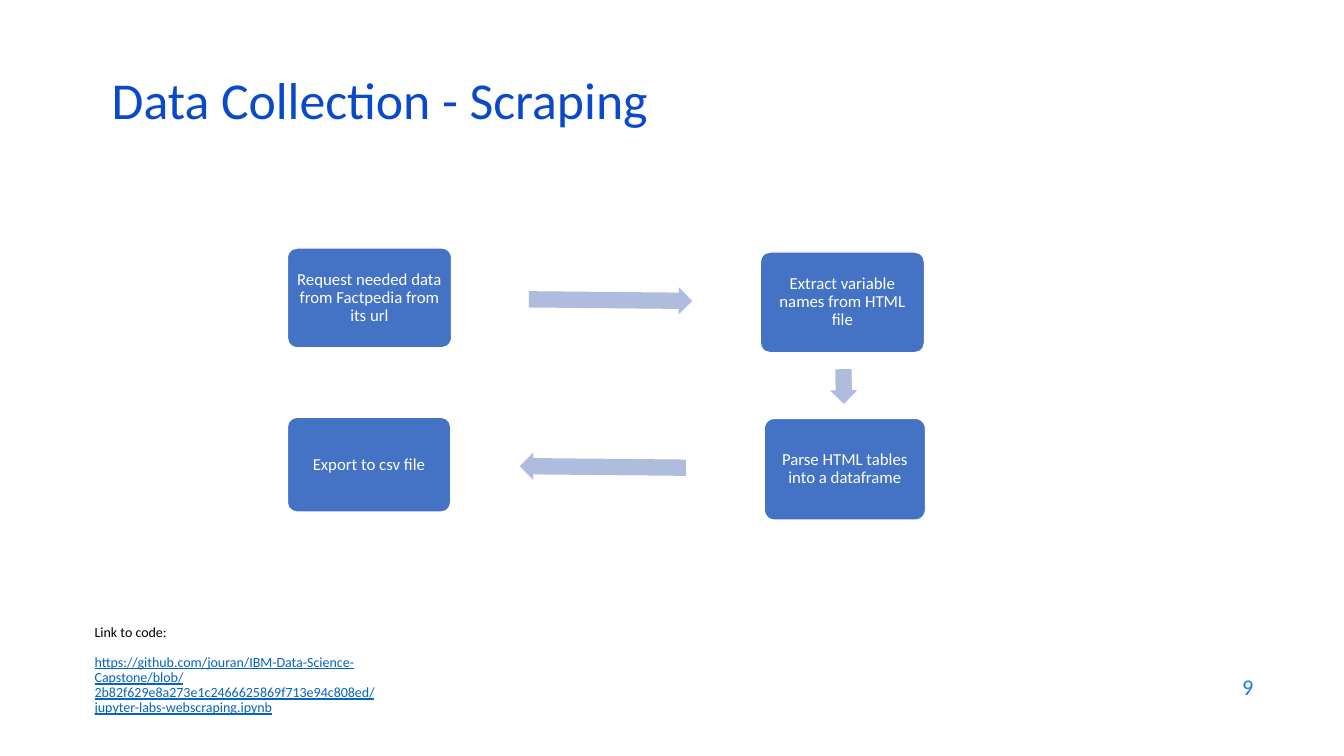
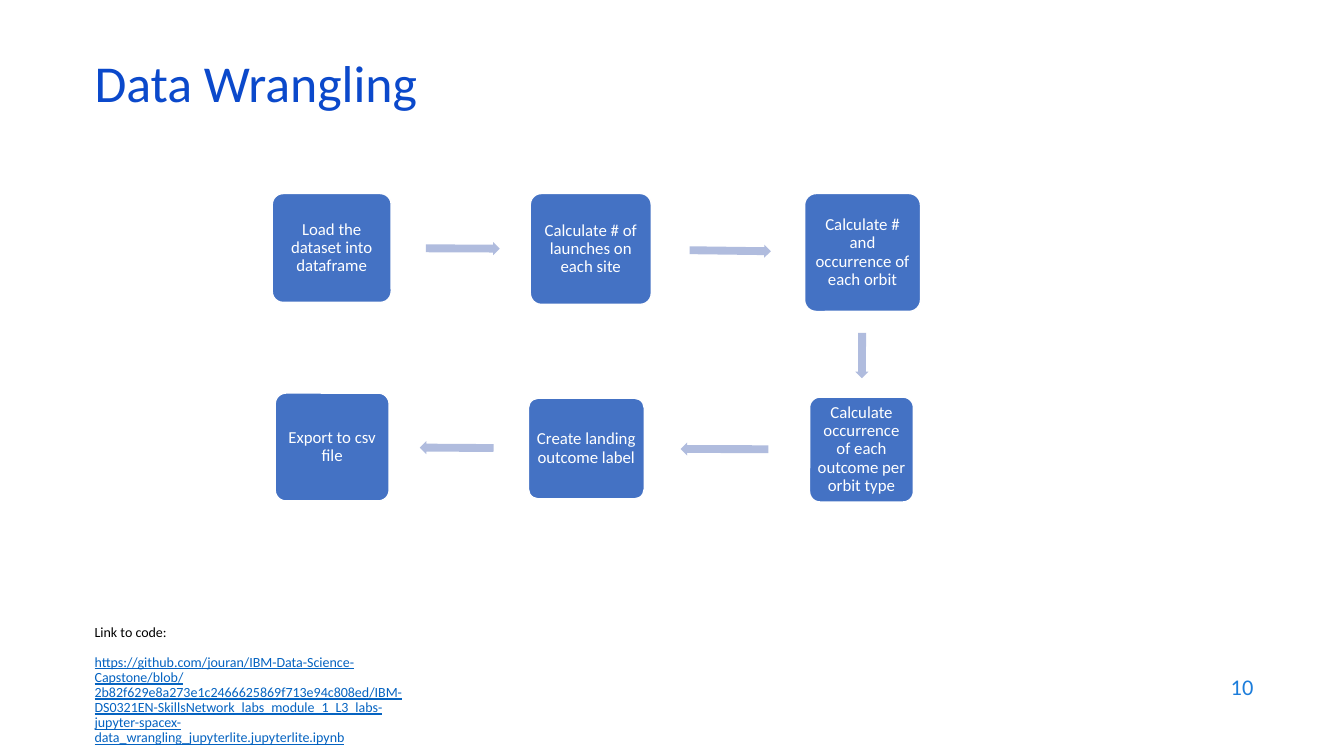
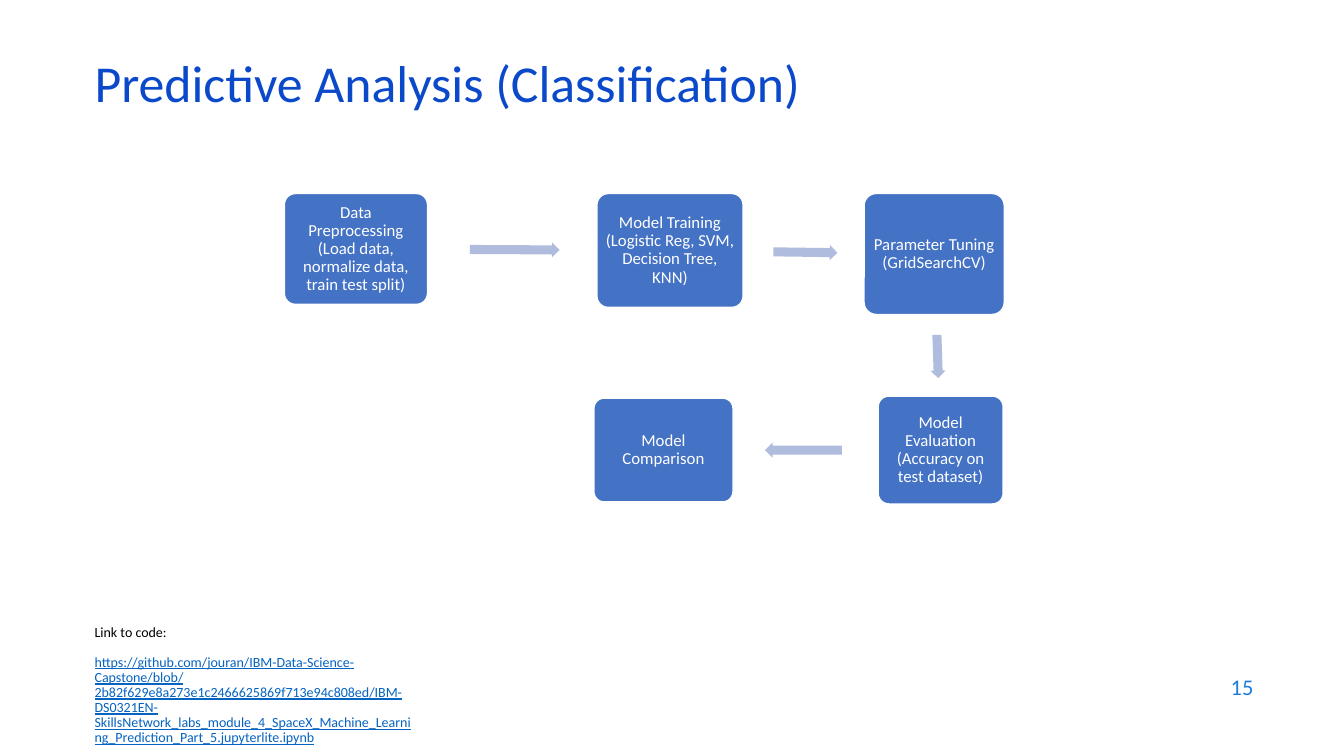
from itertools import pairwise
from math import atan2, degrees

from pptx import Presentation
from pptx.dml.color import RGBColor
from pptx.enum.shapes import MSO_SHAPE as Preset
from pptx.enum.text import MSO_ANCHOR as Anchor, PP_ALIGN as Align
from pptx.util import Inches, Pt

FONT = "Calibri"
TITLE, NUMBER, STEP, ARROW = "0B49CB", "1C7DDB", "4472C4", "B0BCDE"
WHITE, BLACK, LINK = "FFFFFF", "000000", "0563C1"

# Each arrow starts a quarter of the way into the gap and fills about half of it
ARROW_START, ARROW_LENGTH = 0.25, 0.53

REPO = ("https://github.com/jouran/IBM-Data-Science-Capstone/blob/"
        "2b82f629e8a273e1c2466625869f713e94c808ed/")


def rgb(value):
    return RGBColor.from_string(value)


def apply(target, **values):
    for attribute, value in values.items():
        setattr(target, attribute, value)


class Deck:
    def __init__(self):
        self.prs = Presentation()
        apply(self.prs, slide_width=Inches(13.33), slide_height=Inches(7.5))
        self.slide = None

    def new_slide(self):
        self.slide = self.prs.slides.add_slide(self.prs.slide_layouts[6])

    def add_text(self, paragraph, text, size, color, underline=None, **layout):
        apply(paragraph, **layout)
        run = paragraph.add_run()
        run.text = text
        apply(run.font, name=FONT, size=Pt(size), underline=underline)
        run.font.color.rgb = rgb(color)

    def text_frame(self, box, anchor=Anchor.MIDDLE):
        frame = self.slide.shapes.add_textbox(*map(Inches, box)).text_frame
        apply(frame, word_wrap=True, vertical_anchor=anchor)
        return frame

    def title(self, text, left, top):
        frame = self.text_frame((left, top, 11.5, 0.6))
        self.add_text(frame.paragraphs[0], text, 37, TITLE, line_spacing=0.7)

    def page_number(self, number):
        frame = self.text_frame((9.53, 6.59, 3, 0.44))
        self.add_text(frame.paragraphs[0], str(number), 16, NUMBER, alignment=Align.RIGHT)

    def code_link(self, notebook):
        frame = self.text_frame((0.84, 6.16, 3.36, 0.8), Anchor.TOP)
        self.add_text(frame.paragraphs[0], "Link to code:", 10, BLACK, line_spacing=0.9)
        self.add_text(frame.add_paragraph(), REPO + notebook, 10, LINK, underline=True,
                      line_spacing=0.9, space_before=Pt(10))

    def preset(self, kind, box, fill, adjustments):
        shape = self.slide.shapes.add_shape(kind, *map(Inches, box))
        shape.shadow.inherit = False
        shape.fill.solid()
        shape.fill.fore_color.rgb = rgb(fill)
        for index, value in enumerate(adjustments):
            shape.adjustments[index] = value
        return shape

    def step(self, text, box):
        shape = self.preset(Preset.ROUNDED_RECTANGLE, box, STEP, [0.1])
        shape.line.color.rgb = rgb(WHITE)
        shape.line.width = Pt(1)
        frame = shape.text_frame
        margins = dict.fromkeys(
            ("margin_left", "margin_top", "margin_right", "margin_bottom"), Inches(0.05))
        apply(frame, word_wrap=True, vertical_anchor=Anchor.MIDDLE, **margins)
        self.add_text(frame.paragraphs[0], text, 12, WHITE,
                      alignment=Align.CENTER, line_spacing=0.9)

    def arrow(self, source, target, breadth):
        """Point from the centre of one step to the centre of the next."""
        x, y = (source[i] + source[i + 2] / 2 for i in (0, 1))
        dx = target[0] + target[2] / 2 - x
        dy = target[1] + target[3] / 2 - y
        axis = 0 if abs(dx) > abs(dy) else 1
        distance = abs((dx, dy)[axis])
        half = source[axis + 2] / 2
        gap = distance - half - target[axis + 2] / 2
        length = ARROW_LENGTH * gap
        share = (half + ARROW_START * gap + length / 2) / distance
        box = (x + share * dx - length / 2, y + share * dy - breadth / 2, length, breadth)
        shape = self.preset(Preset.RIGHT_ARROW, box, ARROW, [0.6, 0.5])
        shape.line.fill.background()
        shape.rotation = degrees(atan2(dy, dx)) % 360

    def process(self, steps, breadth):
        for text, box in steps:
            self.step(text, box)
        for (_, source), (_, target) in pairwise(steps):
            self.arrow(source, target, breadth)


# Content of each slide; steps are in flow order
SLIDES = [
    dict(
        title=("Data Collection - Scraping", 1.01, 0.76), number=9, breadth=0.27,
        notebook="jupyter-labs-webscraping.ipynb",
        steps=[
            ("Request needed data from Factpedia from its url", (2.85, 2.46, 1.63, 0.99)),
            ("Extract variable names from HTML file", (7.54, 2.5, 1.63, 1)),
            ("Parse HTML tables into a dataframe", (7.58, 4.15, 1.6, 1.01)),
            ("Export to csv file", (2.85, 4.14, 1.62, 0.94)),
        ],
    ),
    dict(
        title=("Data Wrangling", 0.84, 0.59), number=10, breadth=0.13,
        notebook="IBM-DS0321EN-SkillsNetwork_labs_module_1_L3_labs-jupyter-spacex-"
                 "data_wrangling_jupyterlite.jupyterlite.ipynb",
        steps=[
            ("Load the dataset into dataframe", (2.7, 1.92, 1.18, 1.08)),
            ("Calculate # of launches on each site", (5.26, 1.92, 1.2, 1.1)),
            ("Calculate # and occurrence of each orbit", (7.98, 1.92, 1.15, 1.17)),
            ("Calculate occurrence of each outcome per orbit type", (8.03, 3.94, 1.03, 1.04)),
            ("Create landing outcome label", (5.24, 3.95, 1.15, 1)),
            ("Export to csv file", (2.73, 3.9, 1.13, 1.07)),
        ],
    ),
    dict(
        title=("Predictive Analysis (Classification)", 0.84, 0.59), number=15, breadth=0.15,
        notebook="IBM-DS0321EN-SkillsNetwork_labs_module_4_SpaceX_Machine_Learning_"
                 "Prediction_Part_5.jupyterlite.ipynb",
        steps=[
            ("Data Preprocessing (Load data, normalize data, train test split)",
             (2.82, 1.92, 1.42, 1.1)),
            ("Model Training (Logistic Reg, SVM, Decision Tree, KNN)",
             (5.92, 1.92, 1.45, 1.13)),
            ("Parameter Tuning (GridSearchCV)", (8.57, 1.92, 1.39, 1.2)),
            ("Model Evaluation (Accuracy on test dataset)", (8.71, 3.93, 1.24, 1.07)),
            ("Model Comparison", (5.89, 3.95, 1.38, 1.03)),
        ],
    ),
]


def main():
    deck = Deck()
    for content in SLIDES:
        deck.new_slide()
        deck.page_number(content["number"])
        deck.title(*content["title"])
        deck.process(content["steps"], content["breadth"])
        deck.code_link(content["notebook"])
    deck.prs.save("out.pptx")


if __name__ == "__main__":
    main()
